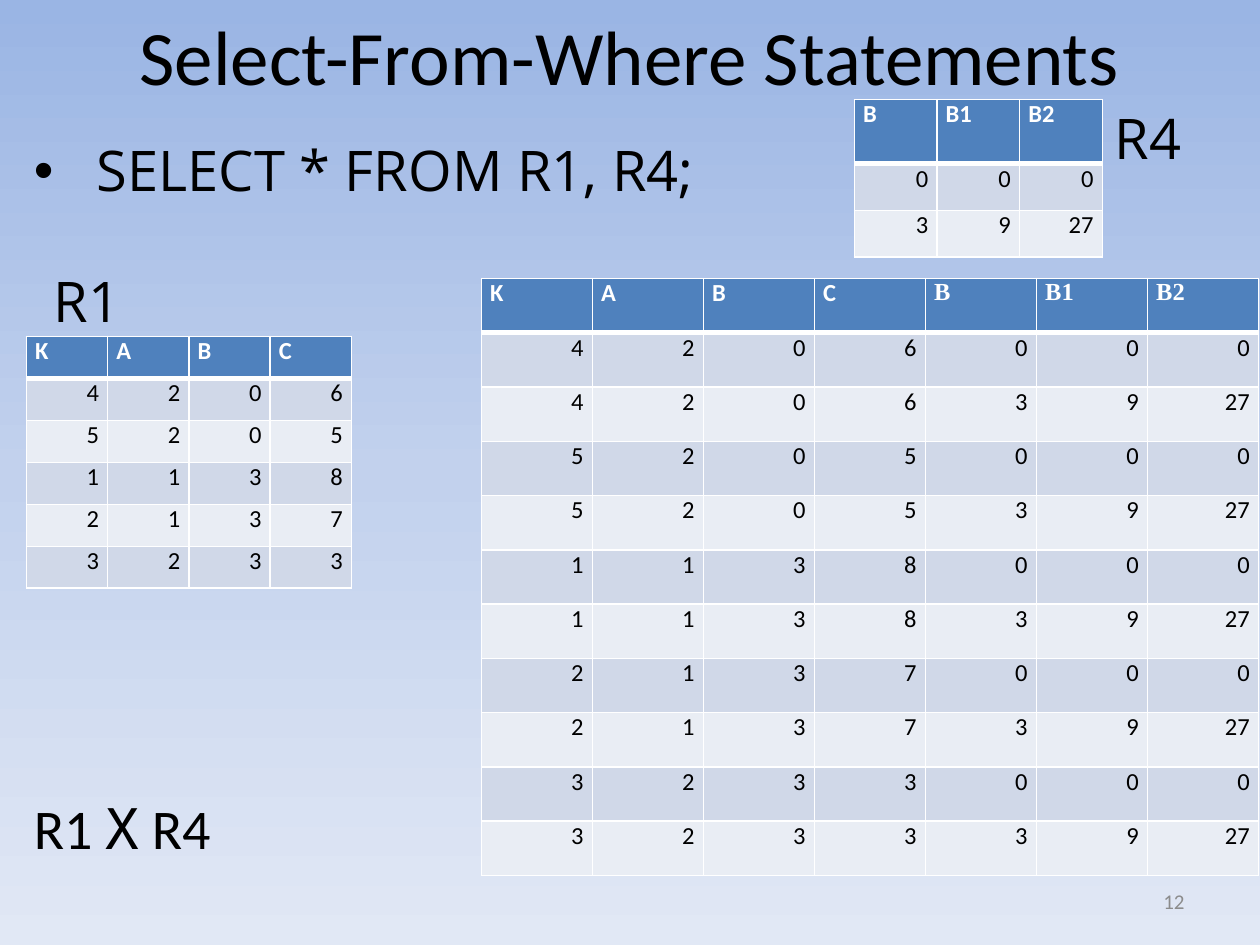
from copy import deepcopy
from itertools import product

from lxml import etree
from pptx import Presentation
from pptx.dml.color import RGBColor
from pptx.enum import text
from pptx.oxml.ns import qn
from pptx.util import Inches, Pt

BODY, CODE, SERIF, SYMBOL = "Calibri", "Open Sans", "Times New Roman", "DejaVu Sans Mono"
R1_HEAD, R4_HEAD = ["K", "A", "B", "C"], ["B", "B1", "B2"]
R1_ROWS = [(4, 2, 0, 6), (5, 2, 0, 5), (1, 1, 3, 8), (2, 1, 3, 7), (3, 2, 3, 3)]
R4_ROWS = [(0, 0, 0), (3, 9, 27)]
LEFT, CENTER, RIGHT = text.PP_ALIGN.LEFT, text.PP_ALIGN.CENTER, text.PP_ALIGN.RIGHT
TOP, MIDDLE = text.MSO_ANCHOR.TOP, text.MSO_ANCHOR.MIDDLE


def color(value):
    return RGBColor.from_string(value)


def set_font(font, name, size, value="000000", bold=False):
    font.name, font.size, font.bold = name, Pt(size), bold
    font.color.rgb = color(value)


def paint_background(page, stops):
    """Vertical gradient through the given (percent, colour) stops."""
    fill = page.background.fill
    fill.gradient()
    fill.gradient_angle = 270
    stop_list = fill.gradient_stops[0]._gs.getparent()
    stop_list.append(deepcopy(stop_list[-1]))
    for stop, (percent, value) in zip(fill.gradient_stops, stops):
        stop.color.rgb = color(value)
        stop.position = percent / 100


def add_text(page, box, words, name=BODY, size=32, value="000000", align=LEFT, anchor=TOP):
    frame = page.shapes.add_textbox(*map(Inches, box)).text_frame
    frame.word_wrap = True
    frame.vertical_anchor = anchor
    para = frame.paragraphs[0]
    para.text = words
    para.alignment = align
    set_font(para.font, name, size, value)
    return para


def add_query(page, box, words):
    """Bulleted line with a hanging indent."""
    props = add_text(page, box, words, CODE)._p.get_or_add_pPr()
    props.set("marL", str(Inches(0.5)))
    props.set("indent", str(Inches(-0.5)))
    bullet_font = etree.Element(qn("a:buFont"), typeface="Arial")
    bullet = etree.Element(qn("a:buChar"), char="•")
    for position, part in enumerate((bullet_font, bullet)):
        props.insert(position, part)


def add_product_label(page, box):
    para = add_text(page, box, "")
    for words, name in (("R1 ", BODY), ("Χ", SYMBOL), (" R4", BODY)):
        span = para.add_run()
        span.text = words
        span.font.name = name


def set_borders(cell, top, bottom):
    """White cell borders; the fill must be added afterwards."""
    props = cell._tc.get_or_add_tcPr()
    for side, width in (("L", 1), ("R", 1), ("T", top), ("B", bottom)):
        line = etree.SubElement(props, qn(f"a:ln{side}"), w=str(Pt(width)))
        fill = etree.SubElement(line, qn("a:solidFill"))
        etree.SubElement(fill, qn("a:srgbClr"), val="FFFFFF")


def add_relation(page, box, head, rows, head_height=None, serif_from=None):
    """Table with a blue header row and banded, right-aligned values."""
    width, height = box[2:]
    count = len(rows)
    head_height = head_height or height / (count + 1)
    table = page.shapes.add_table(count + 1, len(head), *map(Inches, box)).table
    for column in table.columns:
        column.width = Inches(width / len(head))
    for r, values in enumerate([head, *rows]):
        is_head = r == 0
        table.rows[r].height = Inches(head_height if is_head else (height - head_height) / count)
        band = "4F81BD" if is_head else ("E9EDF4", "D0D8E8")[r % 2]
        for c, item in enumerate(values):
            cell = table.cell(r, c)
            cell.margin_left = cell.margin_right = Inches(0.07)
            cell.margin_top = cell.margin_bottom = 0
            set_borders(cell, 3 if r == 1 else 1, 3 if is_head else 1)
            cell.fill.solid()
            cell.fill.fore_color.rgb = color(band)
            para = cell.text_frame.paragraphs[0]
            para.text = str(item)
            para.alignment = LEFT if is_head else RIGHT
            serif = is_head and serif_from is not None and c >= serif_from
            set_font(para.font, SERIF if serif else BODY, 14,
                     "FFFFFF" if is_head else "000000", is_head)


def build_slide(page):
    paint_background(page, [(0, "9AB5E4"), (50, "C2D1ED"), (100, "E1E8F5")])

    # Title and page number
    add_text(page, (0.5, 0.02, 9, 0.83), "Select-From-Where Statements",
             size=44, align=CENTER, anchor=MIDDLE)
    add_text(page, (7.17, 6.95, 2.33, 0.4), "12", size=12, value="8C8C8C",
             align=RIGHT, anchor=MIDDLE)

    # Cross product of the two relations
    pairs = [left + right for left, right in product(R1_ROWS, R4_ROWS)]
    add_relation(page, (3.82, 2.21, 6.17, 4.74), R1_HEAD + R4_HEAD, pairs,
                 serif_from=len(R1_HEAD))
    add_product_label(page, (0.17, 6.25, 3.58, 0.64))

    # Query and source relations
    add_relation(page, (6.78, 0.79, 1.97, 1.25), R4_HEAD, R4_ROWS, head_height=0.51)
    add_query(page, (0.17, 1.03, 6.33, 1.18), "SELECT * FROM R1, R4;")
    add_text(page, (8.75, 0.77, 0.92, 0.64), "R4", CODE)
    add_relation(page, (0.21, 2.67, 2.58, 2), R1_HEAD, R1_ROWS)
    add_text(page, (0.33, 2.07, 1, 0.64), "R1", CODE)


def main():
    deck = Presentation()
    deck.slide_width, deck.slide_height = Inches(10), Inches(7.5)
    build_slide(deck.slides.add_slide(deck.slide_layouts[6]))
    deck.save("out.pptx")


if __name__ == "__main__":
    main()
